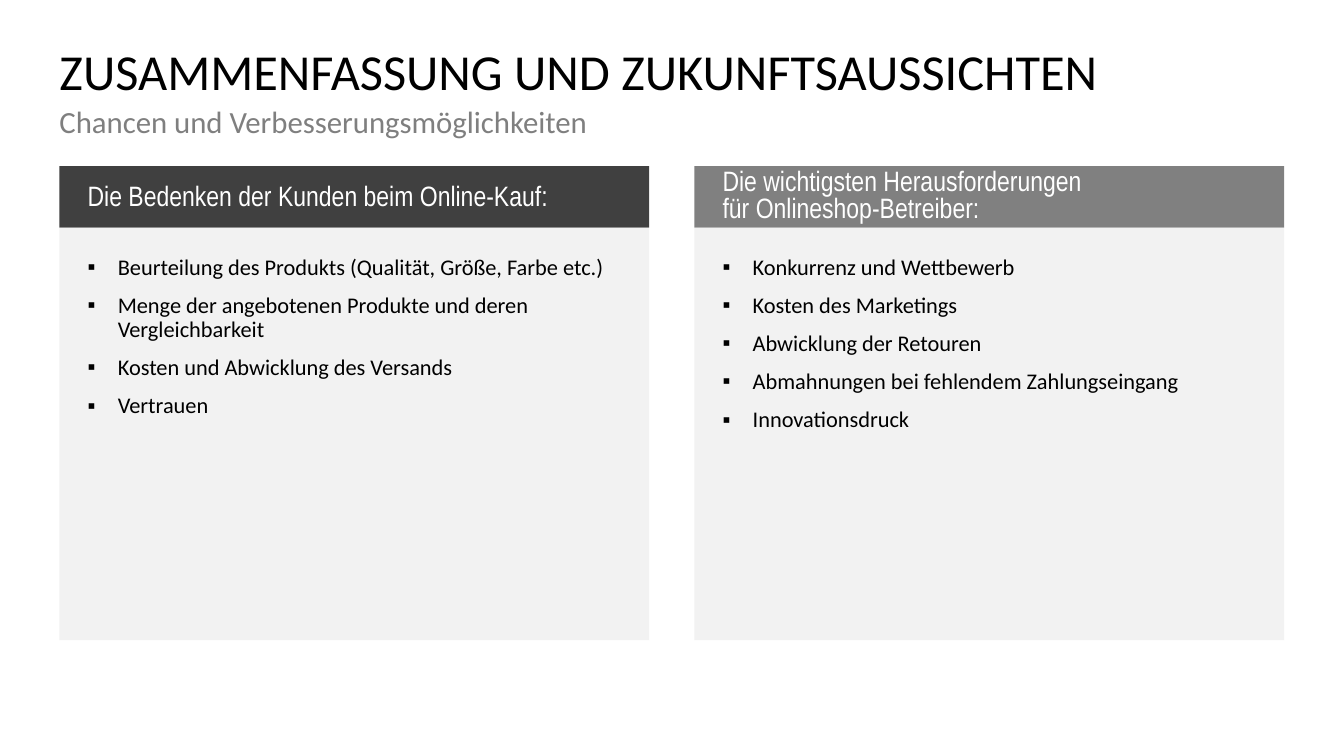
from lxml import etree
from pptx import Presentation
from pptx.dml.color import RGBColor
from pptx.enum.shapes import MSO_SHAPE
from pptx.enum.text import MSO_ANCHOR, PP_ALIGN
from pptx.oxml.ns import qn
from pptx.util import Cm, Pt

RECT = MSO_SHAPE.RECTANGLE
TOP, MIDDLE = MSO_ANCHOR.TOP, MSO_ANCHOR.MIDDLE
LEFT = PP_ALIGN.LEFT

TITLE = "ZUSAMMENFASSUNG UND ZUKUNFTSAUSSICHTEN"
SUBTITLE = "Chancen und Verbesserungsmöglichkeiten"
COLUMNS = [
    {
        "head": "Die Bedenken der Kunden beim Online-Kauf:",
        "fill": "404040",
        "para": {"line_spacing": 0.9, "space_after": Pt(10)},
        "points": [
            "Beurteilung des Produkts (Qualität, Größe, Farbe etc.)",
            "Menge der angebotenen Produkte und deren Vergleichbarkeit",
            "Kosten und Abwicklung des Versands",
            "Vertrauen",
        ],
    },
    {
        "head": "Die wichtigsten Herausforderungen\nfür Onlineshop-Betreiber:",
        "fill": "808080",
        "para": {"line_spacing": 0.8},
        "points": [
            "Konkurrenz und Wettbewerb",
            "Kosten des Marketings",
            "Abwicklung der Retouren",
            "Abmahnungen bei fehlendem Zahlungseingang",
            "Innovationsdruck",
        ],
    },
]

TITLE_FONT = {"size": Pt(36), "name": "Calibri"}
SUBTITLE_FONT = {"size": Pt(22), "name": "Calibri"}
HEAD_FONT = {"size": Pt(20), "name": "Arial Narrow"}
POINT_FONT = {"size": Pt(16), "name": "Calibri"}
TIGHT = {"line_spacing": 0.9}
SPACED = {"line_spacing": 0.9, "space_after": Pt(10)}

MARGIN, FULL_W = 1.5, 30.86
TITLE_Y, SUBTITLE_Y, HEAD_Y = 1.19, 2.69, 4.19
COL_W, GAP = 14.86, 1.14
HEAD_H, BODY_H = 1.55, 10.39
PAD, HEAD_PAD_R, INDENT = 0.71, 0.41, 0.76


def rgb(value):
    return RGBColor.from_string(value)


def set_attrs(obj, values):
    for key, value in values.items():
        setattr(obj, key, value)


def add_bullet(p):
    pPr = p._p.get_or_add_pPr()
    pPr.set("marL", str(Cm(INDENT)))
    pPr.set("indent", str(-Cm(INDENT)))
    etree.SubElement(pPr, qn("a:buFont")).set("typeface", "Arial")
    etree.SubElement(pPr, qn("a:buChar")).set("char", "▪")


def write(sp, lines, font, color, para, insets=(0, 0, 0, 0), anchor=TOP, bullets=False):
    tf = sp.text_frame
    l, t, r, b = map(Cm, insets)
    set_attrs(tf, {"word_wrap": True, "vertical_anchor": anchor, "margin_left": l,
                   "margin_top": t, "margin_right": r, "margin_bottom": b})
    for i, line in enumerate(lines):
        p = tf.add_paragraph() if i else tf.paragraphs[0]
        p.text = line
        if bullets:
            add_bullet(p)
        set_attrs(p, {"alignment": LEFT, **para})
        for run in p.runs:
            set_attrs(run.font, font)
            run.font.color.rgb = rgb(color)


def add_panel(s, x, y, h, fill):
    sp = s.shapes.add_shape(RECT, Cm(x), Cm(y), Cm(COL_W), Cm(h))
    sp.shadow.inherit = False
    sp.fill.solid()
    sp.fill.fore_color.rgb = rgb(fill)
    sp.line.fill.background()
    return sp


def main():
    prs = Presentation()
    prs.slide_width, prs.slide_height = Cm(33.87), Cm(19.05)
    s = prs.slides.add_slide(prs.slide_layouts[6])

    for text, y, h, font, color, para in [
        (TITLE, TITLE_Y, HEAD_Y - TITLE_Y, TITLE_FONT, "000000", TIGHT),
        (SUBTITLE, SUBTITLE_Y, HEAD_Y - SUBTITLE_Y, SUBTITLE_FONT, "7F7F7F", SPACED),
    ]:
        sp = s.shapes.add_textbox(Cm(MARGIN), Cm(y), Cm(FULL_W), Cm(h))
        write(sp, [text], font, color, para)

    for i, col in enumerate(COLUMNS):
        x = MARGIN + i * (COL_W + GAP)
        head = add_panel(s, x, HEAD_Y, HEAD_H, col["fill"])
        write(head, [col["head"]], HEAD_FONT, "FFFFFF", col["para"],
              (PAD, 0, HEAD_PAD_R, 0), MIDDLE)
        body = add_panel(s, x, HEAD_Y + HEAD_H, BODY_H, "F2F2F2")
        write(body, col["points"], POINT_FONT, "000000", SPACED, (PAD,) * 4, bullets=True)

    prs.save("out.pptx")


if __name__ == "__main__":
    main()
